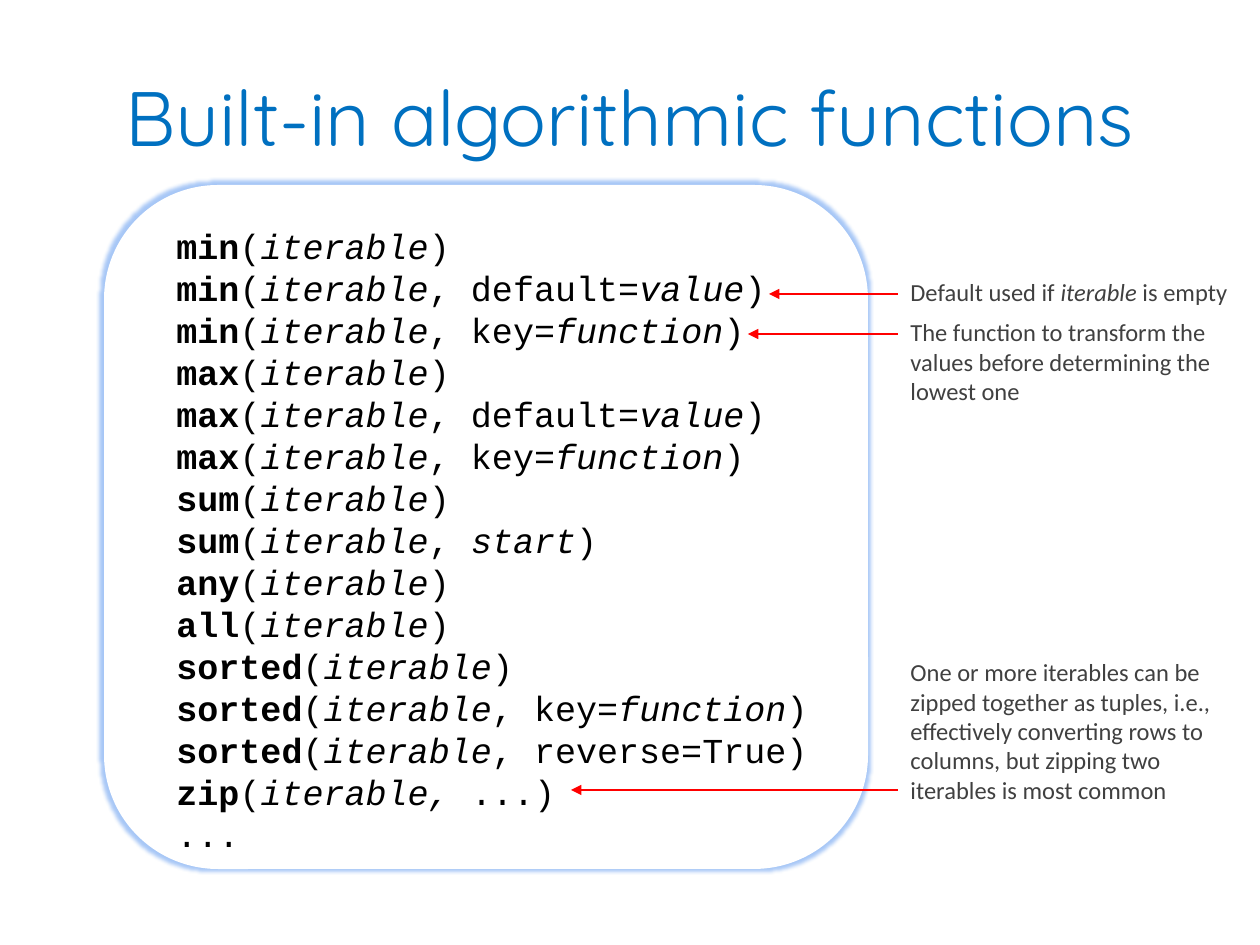
import dataclasses

import lxml.etree
import pptx
import pptx.dml.color
import pptx.enum.shapes
import pptx.enum.text
import pptx.oxml.ns
import pptx.util

EMU_PER_PX = 914400 / 126


@dataclasses.dataclass(frozen=True)
class Theme:
    title: str = "0070C0"
    code: str = "000000"
    note: str = "404040"
    arrow: str = "FF0000"
    panel: str = "FFFFFF"
    glow: str = "3B82EC"
    title_font: str = "Quicksand"
    code_font: str = "Courier New"
    note_font: str = "Calibri"
    title_size: int = 44
    code_size: int = 20
    code_leading: int = 24
    note_size: int = 14


def px(length):
    return pptx.util.Emu(round(length * EMU_PER_PX))


def rgb(colour):
    return pptx.dml.color.RGBColor.from_string(colour)


def add_element(parent, tag, **attributes):
    return lxml.etree.SubElement(parent, pptx.oxml.ns.qn(tag), attributes)


class SlideBuilder:
    def __init__(self, page, theme):
        self.page = page
        self.theme = theme

    def style(self, para, font, size, colour):
        para.font.name = font
        para.font.size = pptx.util.Pt(size)
        para.font.color.rgb = rgb(colour)

    def add_spans(self, para, text):
        """Add spans to a paragraph; text between asterisks is italic."""
        for index, part in enumerate(text.split("*")):
            if part:
                span = para.add_run()
                span.text = part
                if index % 2:
                    span.font.italic = True

    def text_box(self, left, top, width, height):
        box = self.page.shapes.add_textbox(px(left), px(top), px(width), px(height))
        box.text_frame.word_wrap = True
        return box.text_frame

    def title(self, text, left, top, width, height):
        frame = self.text_box(left, top, width, height)
        frame.vertical_anchor = pptx.enum.text.MSO_ANCHOR.MIDDLE
        para = frame.paragraphs[0]
        para.alignment = pptx.enum.text.PP_ALIGN.CENTER
        self.add_spans(para, text)
        self.style(para, self.theme.title_font, self.theme.title_size, self.theme.title)

    def code_panel(self, calls, left, top, width, height):
        panel = self.page.shapes.add_shape(
            pptx.enum.shapes.MSO_SHAPE.ROUNDED_RECTANGLE,
            px(left), px(top), px(width), px(height))
        panel.fill.solid()
        panel.fill.fore_color.rgb = rgb(self.theme.panel)
        panel.line.fill.background()

        # Soft glow in place of a shadow
        panel.shadow.inherit = False
        effects = panel._element.spPr.find(pptx.oxml.ns.qn("a:effectLst"))
        glow = add_element(effects, "a:glow", rad="63500")
        colour = add_element(glow, "a:srgbClr", val=self.theme.glow)
        add_element(colour, "a:alpha", val="45000")

        frame = panel.text_frame
        frame.word_wrap = True
        frame.vertical_anchor = pptx.enum.text.MSO_ANCHOR.TOP
        frame.margin_left, frame.margin_right = px(39), px(20)
        frame.margin_top, frame.margin_bottom = px(6), px(0)
        for index, (name, arguments) in enumerate(calls):
            para = frame.add_paragraph() if index else frame.paragraphs[0]
            para.alignment = pptx.enum.text.PP_ALIGN.LEFT
            para.line_spacing = pptx.util.Pt(self.theme.code_leading)
            if name:
                span = para.add_run()
                span.text = name
                span.font.bold = True
            self.add_spans(para, arguments)
            self.style(para, self.theme.code_font, self.theme.code_size, self.theme.code)

    def note(self, text, left, top, width, height):
        para = self.text_box(left, top, width, height).paragraphs[0]
        self.add_spans(para, text)
        self.style(para, self.theme.note_font, self.theme.note_size, self.theme.note)

    def arrow(self, start, end, y):
        line = self.page.shapes.add_connector(
            pptx.enum.shapes.MSO_CONNECTOR.STRAIGHT, px(start), px(y), px(end), px(y))
        line.line.color.rgb = rgb(self.theme.arrow)
        line.line.width = pptx.util.Pt(0.75)
        add_element(line.line._get_or_add_ln(), "a:tailEnd", type="triangle")
        add_element(line._element.spPr, "a:effectLst")


CALLS = [
    ("min", "(*iterable*)"),
    ("min", "(*iterable*, default=*value*)"),
    ("min", "(*iterable*, key=*function*)"),
    ("max", "(*iterable*)"),
    ("max", "(*iterable*, default=*value*)"),
    ("max", "(*iterable*, key=*function*)"),
    ("sum", "(*iterable*)"),
    ("sum", "(*iterable*, *start*)"),
    ("any", "(*iterable*)"),
    ("all", "(*iterable*)"),
    ("sorted", "(*iterable*)"),
    ("sorted", "(*iterable*, key=*function*)"),
    ("sorted", "(*iterable*, reverse=True)"),
    ("zip", "(*iterable, *...)"),
    ("", "..."),
]

# Text, top, height, arrow tip x, arrow y
NOTES = [
    ("Default used if *iterable* is empty", 271, 43, 769, 294),
    ("The function to transform the values before determining the lowest one",
     311, 102, 748, 334),
    ("One or more iterables can be zipped together as tuples, i.e., effectively "
     "converting rows to columns, but zipping two iterables is most common",
     651, 161, 571, 790),
]
NOTE_LEFT, NOTE_WIDTH = 898, 348


def main():
    deck = pptx.Presentation()
    deck.slide_width, deck.slide_height = px(1260), px(945)
    page = deck.slides.add_slide(deck.slide_layouts[6])
    builder = SlideBuilder(page, Theme())

    # Title and code listing
    builder.title("Built-in algorithmic functions", 63, 37, 1134, 158)
    builder.code_panel(CALLS, 104, 185, 764, 684)

    # Notes with arrows to the calls they explain
    for text, top, height, tip, y in NOTES:
        builder.note(text, NOTE_LEFT, top, NOTE_WIDTH, height)
        builder.arrow(NOTE_LEFT, tip, y)

    deck.save("out.pptx")


if __name__ == "__main__":
    main()
